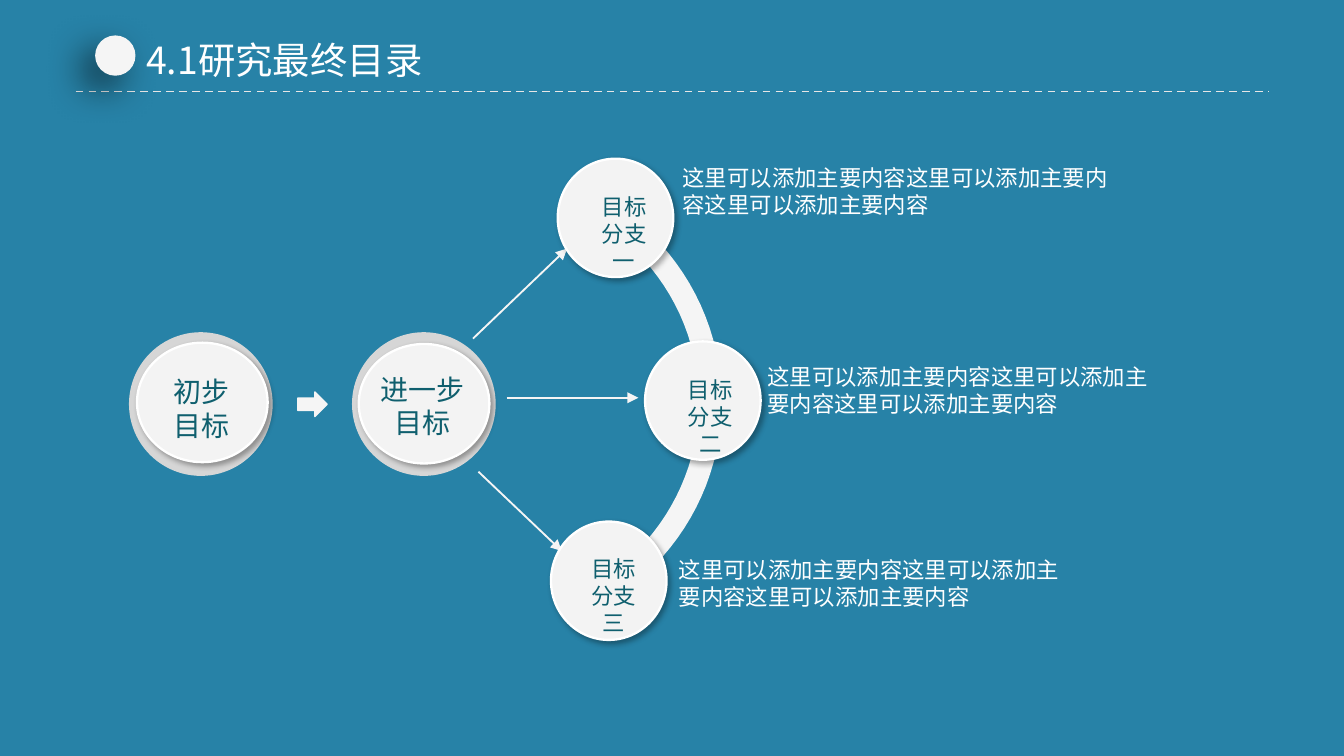
from lxml import etree
from pptx import Presentation
from pptx.dml.color import RGBColor
from pptx.enum import dml, shapes, text
from pptx.oxml import ns
from pptx.util import Pt

BLUE = RGBColor(0x27, 0x82, 0xA7)
TEAL = RGBColor(0x0F, 0x5F, 0x6E)
WHITE = RGBColor(0xFF, 0xFF, 0xFF)
PALE = RGBColor(0xF5, 0xF5, 0xF5)
DISC = RGBColor(0xF3, 0xF3, 0xF3)
RING = RGBColor(0xD6, 0xD6, 0xD6)
RULE = RGBColor(0xE7, 0xE6, 0xE6)
FONT = "Noto Sans CJK SC"

TITLE = "4.1研究最终目录"
NOTE = "这里可以添加主要内容" * 3

GOALS = [
    {"label": "进一步目标", "ring": 188.6, "disc": (192.2, 184.3), "box": (195.8, 195.8, 61.2, 44)},
    {"label": "初步目标", "ring": 69.1, "disc": (73.4, 183.6), "box": (79.9, 197.3, 56.2, 44)},
]
BRANCHES = [
    {"label": "目标分支一", "disc": (298.8, 85), "box": (309.6, 100, 49.4, 51),
     "note": (360.7, 85, 241, 34.6), "arrow": (253.4, 181.4, 303.8, 133.2)},
    {"label": "目标分支二", "disc": (345.6, 182.9), "box": (356.4, 198, 48.2, 51),
     "note": (406.1, 191.5, 225, 34.6), "arrow": (271.4, 213.1, 342, 213.1)},
    {"label": "目标分支三", "disc": (295.2, 279.4), "box": (304.6, 293.8, 48.2, 51),
     "note": (358.6, 295.2, 220, 34.6), "arrow": (256.3, 252.7, 301, 295.2)},
]
ARC_INNER = [
    ((318.2, 117.4), (351.4, 136.8), (374.4, 173.5), (374.4, 215.3)),
    ((374.4, 215.3), (374.4, 255.6), (352.8, 291.6), (320.4, 311.8)),
]
ARC_OUTER = [
    ((326.2, 322.6), (362.2, 300.2), (386.6, 260.6), (386.6, 215.3)),
    ((386.6, 215.3), (386.6, 169.2), (361.4, 128.2), (324, 106.6)),
]
CURVE_STEPS = 20

deck = Presentation()
deck.slide_width, deck.slide_height = Pt(720), Pt(405)
page = deck.slides.add_slide(deck.slide_layouts[6])
page.background.fill.solid()
page.background.fill.fore_color.rgb = BLUE


def points(*values):
    return [Pt(value) for value in values]


def paint(shape, fill, line=None, width=1.25):
    shape.shadow.inherit = False
    shape.fill.solid()
    shape.fill.fore_color.rgb = fill
    if line is None:
        shape.line.fill.background()
    else:
        shape.line.color.rgb = line
        shape.line.width = Pt(width)


def add_shape(kind, frame, fill, line=None, width=1.25):
    shape = page.shapes.add_shape(kind, *points(*frame))
    paint(shape, fill, line, width)
    return shape


def add_shadow(shape, alpha, blur, distance, angle):
    effects = shape._element.spPr.find(ns.qn("a:effectLst"))
    shadow = etree.SubElement(effects, ns.qn("a:outerShdw"), blurRad=str(Pt(blur)),
                              dist=str(Pt(distance)), dir=str(angle * 60000),
                              algn="ctr", rotWithShape="0")
    color = etree.SubElement(shadow, ns.qn("a:srgbClr"), val="000000")
    etree.SubElement(color, ns.qn("a:alpha"), val=str(alpha * 1000))


def add_disc(left, top, width, height):
    disc = add_shape(shapes.MSO_SHAPE.OVAL, (left, top, width, height), DISC, WHITE)
    add_shadow(disc, 32, 3, 2, 45)


def add_text(words, frame, size, color, centred=False, wrap=True, inset=(7.2, 3.6)):
    box = page.shapes.add_textbox(*points(*frame))
    body = box.text_frame
    body.word_wrap = wrap
    body.margin_left = body.margin_right = Pt(inset[0])
    body.margin_top = body.margin_bottom = Pt(inset[1])
    para = body.paragraphs[0]
    para.text = words
    para.alignment = text.PP_ALIGN.CENTER if centred else text.PP_ALIGN.LEFT
    para.font.size = Pt(size)
    para.font.name = FONT
    para.font.color.rgb = color
    for span in para.runs:
        etree.SubElement(span._r.get_or_add_rPr(), ns.qn("a:ea"), typeface=FONT)


def add_line(ends, color):
    line = page.shapes.add_connector(shapes.MSO_CONNECTOR.STRAIGHT, *points(*ends))
    line.line.color.rgb = color
    line.line.width = Pt(1)
    etree.SubElement(line._element.spPr, ns.qn("a:effectLst"))
    return line


def trace(curve):
    for step in range(CURVE_STEPS + 1):
        t = step / CURVE_STEPS
        weights = ((1 - t) ** 3, 3 * t * (1 - t) ** 2, 3 * t * t * (1 - t), t ** 3)
        yield tuple(sum(w * p[axis] for w, p in zip(weights, curve)) for axis in (0, 1))


rule = add_line((40.5, 49, 679.5, 49), RULE)
rule.line.dash_style = dml.MSO_LINE.DASH
dot = add_shape(shapes.MSO_SHAPE.OVAL, (51, 19, 21.6, 21.6), PALE)
add_shadow(dot, 60, 20, 10, 135)
add_text(TITLE, (71.3, 16.6, 168.5, 31.7), 20, WHITE, wrap=False)

outline = [points(*spot) for curve in ARC_INNER + ARC_OUTER for spot in trace(curve)]
builder = page.shapes.build_freeform(*outline[0])
builder.add_line_segments(outline[1:], close=True)
paint(builder.convert_to_shape(), PALE)

for branch in BRANCHES:
    arrow = add_line(branch["arrow"], PALE)
    etree.SubElement(arrow.line._get_or_add_ln(), ns.qn("a:tailEnd"), type="triangle")

for branch in BRANCHES:
    add_disc(*branch["disc"], 61.9, 63.4)
    add_text(branch["label"], branch["box"], 12, TEAL, centred=True)
    add_text(NOTE, branch["note"], 12, WHITE, inset=(5, 2.9))

for goal in GOALS:
    add_shape(shapes.MSO_SHAPE.OVAL, (goal["ring"], 178, 77, 77), RING)
    add_disc(*goal["disc"], 70, 64)
    add_text(goal["label"], goal["box"], 15, TEAL, centred=True)

add_shape(shapes.MSO_SHAPE.RIGHT_ARROW, (159.5, 210, 15.8, 13.2), PALE, PALE, 0.75)

deck.save("out.pptx")
